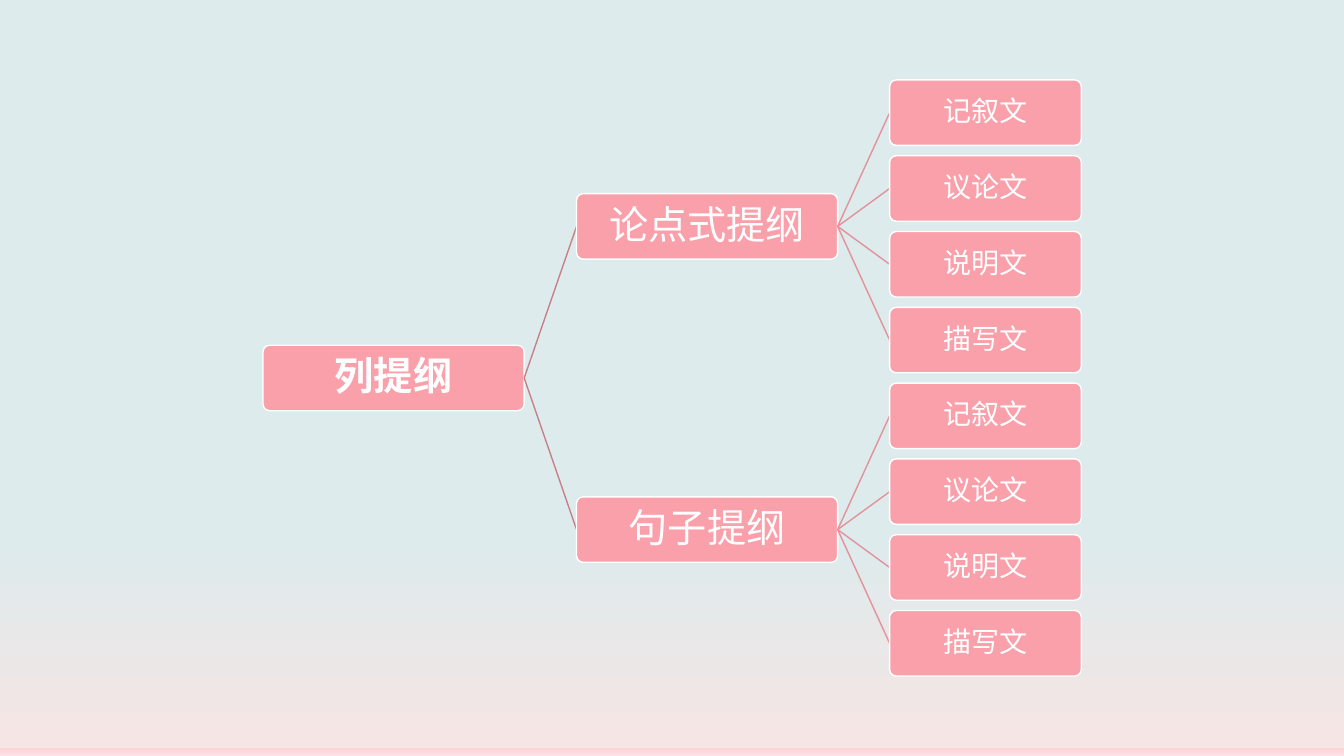
from lxml.etree import SubElement
from pptx import Presentation
from pptx.dml.color import RGBColor
from pptx.enum.shapes import MSO_CONNECTOR as Link, MSO_SHAPE as Shape
from pptx.enum.text import MSO_ANCHOR as Anchor, PP_ALIGN as Align
from pptx.oxml.ns import qn
from pptx.util import Cm, Pt

FONT = "TeX Gyre Adventor"
PINK, WHITE = "FAA0AA", "FFFFFF"
LINK_COLORS = ["C88088", "E3919A"]
BACKDROP = [(70, "DDEBED"), (99, "F5E5E4"), (99, "FDD4D9"), (100, "FDE3E6")]
WIDTH, HEIGHT = 33.87, 19.05
COLUMN_LEFTS = [6.63, 14.53, 22.42]
BOX_WIDTHS = [6.58, 6.58, 4.83]
FONT_SIZES = [28, 28, 20]
BOX_HEIGHT, ROW_STEP = 1.65, 1.91
MIDDLE = HEIGHT / 2
GENRES = ["记叙文", "议论文", "说明文", "描写文"]
OUTLINES = ["论点式提纲", "句子提纲"]


def color(value):
    """Turn a hex string into a colour."""
    return RGBColor.from_string(value)


def paint_background(page):
    """Fill the page with the vertical gradient."""
    fill = page.background.fill
    fill.gradient()
    fill.gradient_angle = 270
    stops = next(page.element.iter(qn("a:gsLst")))
    for stop in list(stops):
        stops.remove(stop)
    for percent, value in BACKDROP:
        stop = SubElement(stops, qn("a:gs"), pos=str(percent * 1000))
        SubElement(stop, qn("a:srgbClr"), val=value)


def add_box(page, level, center, text):
    """Add a rounded box of the given level, centred on a height."""
    box = page.shapes.add_shape(
        Shape.ROUNDED_RECTANGLE, Cm(COLUMN_LEFTS[level]), Cm(center - BOX_HEIGHT / 2),
        Cm(BOX_WIDTHS[level]), Cm(BOX_HEIGHT))
    box.adjustments[0] = 0.1
    box.shadow.inherit = False
    box.fill.solid()
    box.fill.fore_color.rgb = color(PINK)
    box.line.color.rgb = color(WHITE)
    box.line.width = Pt(1)
    frame = box.text_frame
    frame.word_wrap = True
    frame.vertical_anchor = Anchor.MIDDLE
    frame.margin_left = frame.margin_right = Cm(0.09)
    frame.margin_top = frame.margin_bottom = Cm(0.09)
    para = frame.paragraphs[0]
    para.alignment = Align.CENTER
    para.line_spacing = 0.9
    span = para.add_run()
    span.text = text
    span.font.name = FONT
    span.font.size = Pt(FONT_SIZES[level])
    span.font.bold = level == 0
    span.font.color.rgb = color(WHITE)


def add_link(page, level, start, end):
    """Join a box of the given level to one in the next column."""
    link = page.shapes.add_connector(
        Link.STRAIGHT, Cm(COLUMN_LEFTS[level] + BOX_WIDTHS[level]), Cm(start),
        Cm(COLUMN_LEFTS[level + 1]), Cm(end))
    link.line.color.rgb = color(LINK_COLORS[level])
    link.line.width = Pt(1)
    SubElement(link.element.spPr, qn("a:effectLst"))


def spread(center, count, step):
    """Return evenly spaced heights around a centre."""
    return [center + (index - (count - 1) / 2) * step for index in range(count)]


def main():
    """Build the outline tree and save it."""
    deck = Presentation()
    deck.slide_width, deck.slide_height = Cm(WIDTH), Cm(HEIGHT)
    page = deck.slides.add_slide(deck.slide_layouts[6])
    paint_background(page)
    add_box(page, 0, MIDDLE, "列提纲")
    branches = spread(MIDDLE, len(OUTLINES), ROW_STEP * len(GENRES))
    for outline, branch in zip(OUTLINES, branches):
        add_link(page, 0, MIDDLE, branch)
        add_box(page, 1, branch, outline)
        for genre, leaf in zip(GENRES, spread(branch, len(GENRES), ROW_STEP)):
            add_link(page, 1, branch, leaf)
            add_box(page, 2, leaf, genre)
    deck.save("out.pptx")


if __name__ == "__main__":
    main()
